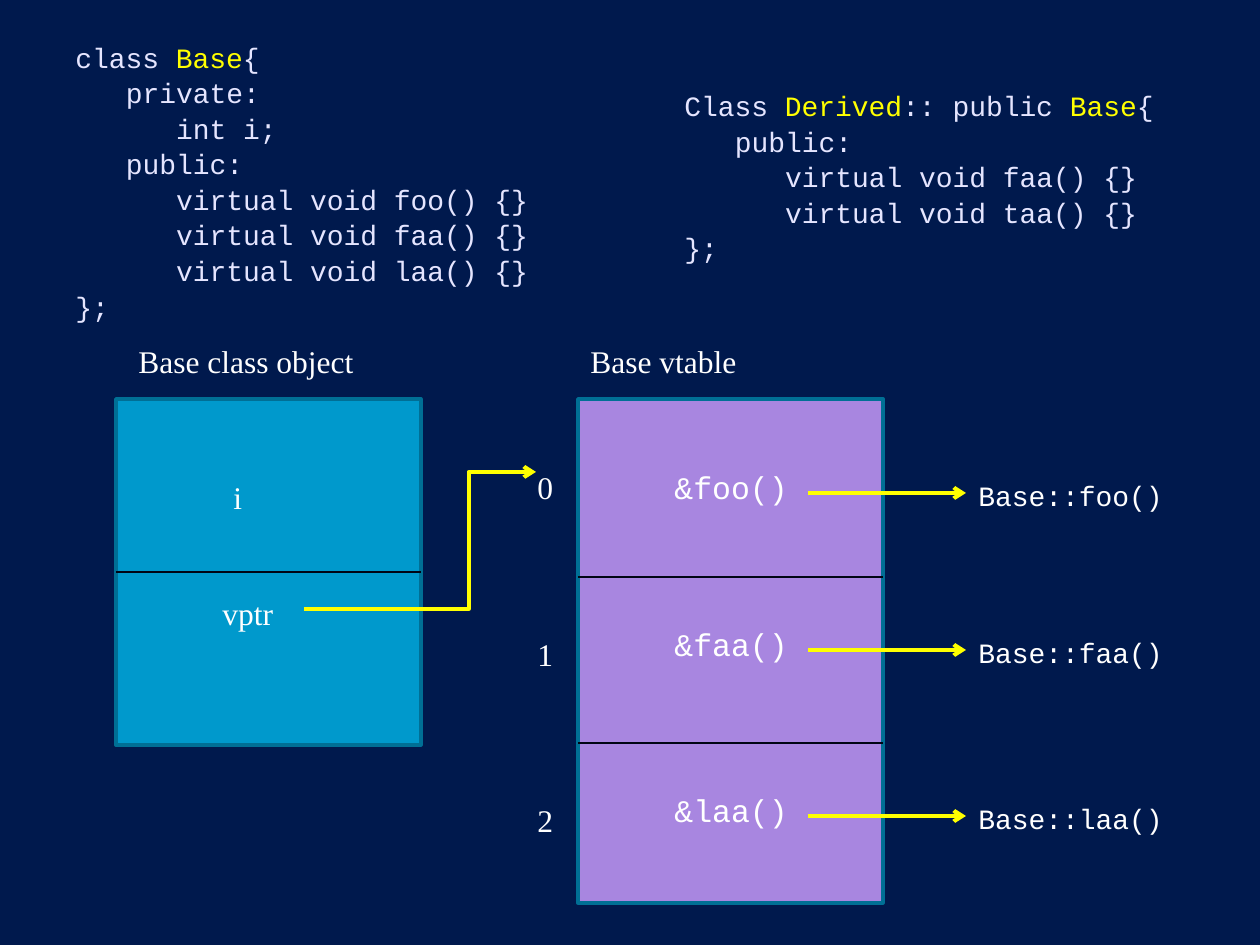
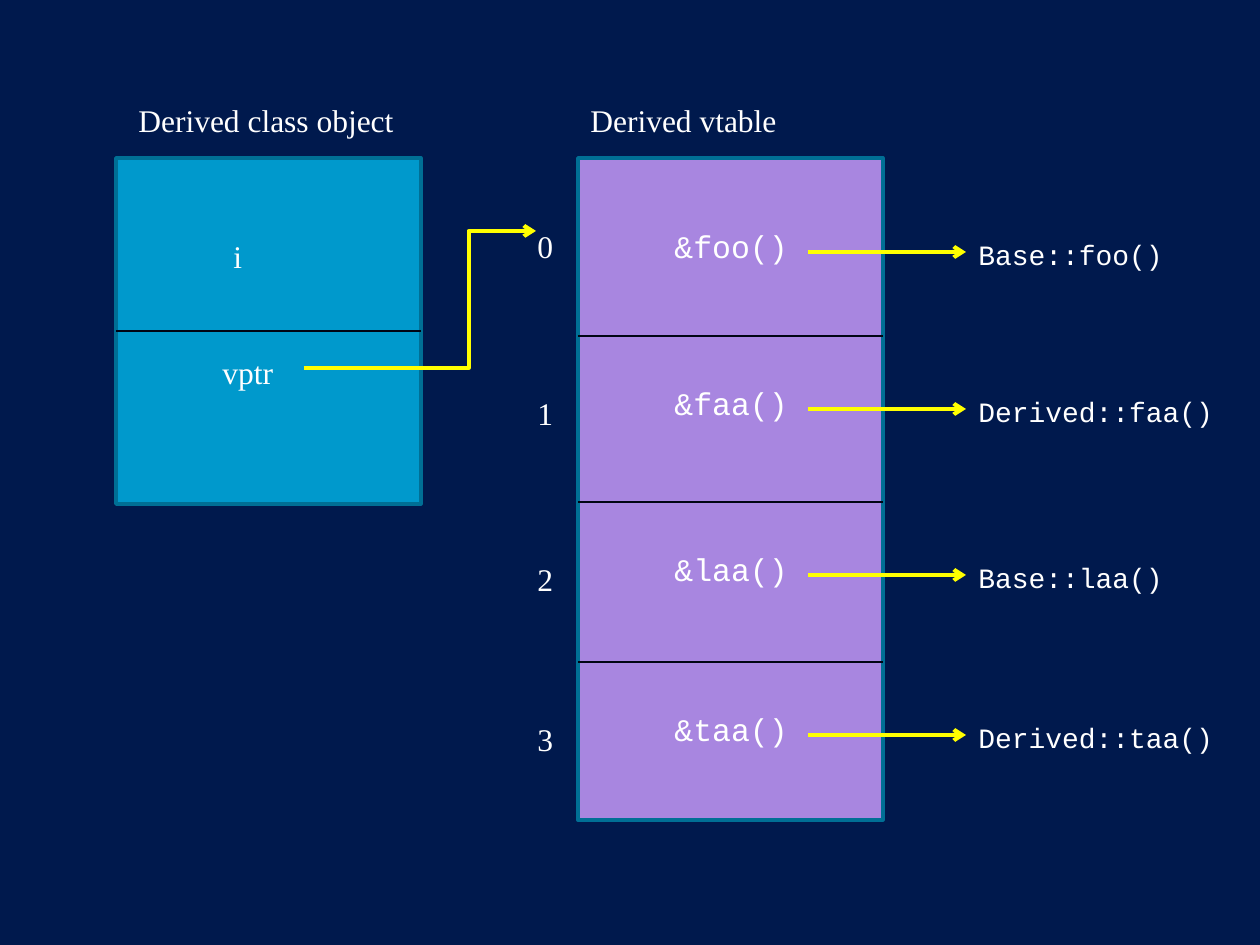
from lxml.etree import SubElement
from pptx import Presentation
from pptx.dml.color import RGBColor
from pptx.enum.shapes import MSO_CONNECTOR as Connector, MSO_SHAPE as Preset
from pptx.enum.text import MSO_ANCHOR as Anchor, MSO_AUTO_SIZE as AutoSize
from pptx.oxml.ns import qn
from pptx.util import Emu, Pt

SCALE = 914400 / 126
NAVY, BLUE, PURPLE, TEAL = "00194D", "0099CC", "A886E0", "006F95"
WHITE, LAVENDER, YELLOW, BLACK = "FFFFFF", "E5E5FF", "FFFF00", "000514"
SERIF, MONO = "Times New Roman", "Courier New"
COLUMN_WIDTH = 305
OBJECT_LEFT, OBJECT_HEIGHT = 116, 346
VTABLE_LEFT = 578
ROW_TOPS = [21, 178, 344, 504]
CODE_INDENT = Pt(28.8)

BASE_CODE = [
    (0, [("class ", LAVENDER), ("Base", YELLOW), ("{", LAVENDER)]),
    (1, [("private:", LAVENDER)]),
    (2, [("int i;", LAVENDER)]),
    (1, [("public:", LAVENDER)]),
    (2, [("virtual void foo() {}", LAVENDER)]),
    (2, [("virtual void faa() {}", LAVENDER)]),
    (2, [("virtual void laa() {}", LAVENDER)]),
    (0, [("};", LAVENDER)]),
]
DERIVED_CODE = [
    (0, [("Class ", LAVENDER), ("Derived", YELLOW), (":: public ", LAVENDER),
         ("Base", YELLOW), ("{", LAVENDER)]),
    (1, [("public:", LAVENDER)]),
    (2, [("virtual void faa() {}", LAVENDER)]),
    (2, [("virtual void taa() {}", LAVENDER)]),
    (0, [("};", LAVENDER)]),
]


def px(*lengths):
    """Turn pixel lengths into EMU."""
    return [Emu(round(length * SCALE)) for length in lengths]


def color(hex_string):
    """Turn a hex string into a colour."""
    return RGBColor.from_string(hex_string)


def add_run(paragraph, text, font_name, size, hex_string):
    """Add one styled run."""
    run = paragraph.add_run()
    run.text = text
    run.font.name = font_name
    run.font.size = Pt(size)
    run.font.color.rgb = color(hex_string)


def add_label(slide, left, top, width, text, font_name=SERIF, size=18):
    """Add a white one-line label that grows with its text."""
    height = 50 if size == 18 else 47
    frame = slide.shapes.add_textbox(*px(left, top, width, height)).text_frame
    frame.word_wrap = True
    frame.auto_size = AutoSize.SHAPE_TO_FIT_TEXT
    add_run(frame.paragraphs[0], text, font_name, size, WHITE)


def add_code(slide, left, top, width, height, lines):
    """Add a code listing of (level, runs) lines, centred vertically."""
    frame = slide.shapes.add_textbox(*px(left, top, width, height)).text_frame
    frame.word_wrap = True
    frame.vertical_anchor = Anchor.MIDDLE
    for number, (level, runs) in enumerate(lines):
        paragraph = frame.add_paragraph() if number else frame.paragraphs[0]
        paragraph.line_spacing = 1.06
        properties = paragraph._p.get_or_add_pPr()
        properties.set("marL", str(level * CODE_INDENT))
        properties.set("indent", "0")
        for text, hex_string in runs:
            add_run(paragraph, text, MONO, 16, hex_string)


def add_block(slide, left, top, height, fill):
    """Add a filled, outlined memory block."""
    block = slide.shapes.add_shape(
        Preset.RECTANGLE, *px(left, top, COLUMN_WIDTH, height))
    block.shadow.inherit = False
    block.fill.solid()
    block.fill.fore_color.rgb = color(fill)
    block.line.color.rgb = color(TEAL)
    block.line.width = Pt(2)


def add_line(slide, kind, ends, hex_string, width):
    """Add a connector without a shadow."""
    connector = slide.shapes.add_connector(kind, *px(*ends))
    connector.line.color.rgb = color(hex_string)
    connector.line.width = Pt(width)
    SubElement(connector._element.spPr, qn("a:effectLst"))
    return connector


def add_divider(slide, left, y):
    """Add a thin line across a memory block."""
    add_line(slide, Connector.STRAIGHT, (left, y, left + COLUMN_WIDTH, y),
             BLACK, 0.75)


def add_arrow(slide, ends, bend=0.5):
    """Add a yellow elbow arrow that bends at a share of its width."""
    arrow = add_line(slide, Connector.ELBOW, ends, YELLOW, 2.25)
    SubElement(arrow.line._get_or_add_ln(), qn("a:tailEnd"), type="arrow")
    geometry = arrow._element.spPr.find(qn("a:prstGeom"))
    guides = geometry.find(qn("a:avLst"))
    if guides is None:
        guides = SubElement(geometry, qn("a:avLst"))
    SubElement(guides, qn("a:gd"), name="adj1",
               fmla=f"val {round(bend * 100000)}")


def add_object(slide, left, top, title):
    """Draw the object's memory with its field and its vptr arrow."""
    add_block(slide, left, top, OBJECT_HEIGHT, BLUE)
    add_label(slide, left + 10, top - 63, 294, title)
    add_label(slide, left + 105, top + 73, 63, "i")
    add_label(slide, left + 94, top + 189, 136, "vptr")
    add_divider(slide, left, top + 173)
    add_arrow(slide, (left + 188, top + 210, left + 420, top + 73), 0.71)


def add_vtable(slide, left, top, height, title, calls):
    """Draw the vtable: index, slot, arrow and called function per row."""
    add_block(slide, left, top, height, PURPLE)
    add_label(slide, left, top - 63, 294, title)
    for index, (row_top, call) in enumerate(zip(ROW_TOPS, calls)):
        slot_top = top + row_top + 42
        index_drop = 10 if index else 0
        add_label(slide, left - 53, slot_top + index_drop, 48, str(index))
        slot = "&" + call.split("::")[1]
        add_label(slide, left + 84, slot_top, 158, slot, MONO)
        if index:
            add_divider(slide, left, top + row_top)
        arrow_y = slot_top + 31
        add_arrow(slide, (left + 230, arrow_y, left + 388, arrow_y))
        add_label(slide, left + 388, slot_top + 10, 294, call, MONO, 16)


def add_class_slide(presentation, name, top, vtable_height, calls):
    """Add a slide with a class object and its vtable."""
    slide = presentation.slides.add_slide(presentation.slide_layouts[6])
    slide.background.fill.solid()
    slide.background.fill.fore_color.rgb = color(NAVY)
    add_object(slide, OBJECT_LEFT, top, f"{name} class object")
    add_vtable(slide, VTABLE_LEFT, top, vtable_height, f"{name} vtable", calls)
    return slide


presentation = Presentation()
presentation.slide_width, presentation.slide_height = px(1260, 945)

base_slide = add_class_slide(
    presentation, "Base", 399, 504,
    ["Base::foo()", "Base::faa()", "Base::laa()"])
add_code(base_slide, 63, 42, 536, 277, BASE_CODE)
add_code(base_slide, 672, 42, 536, 267, DERIVED_CODE)

add_class_slide(
    presentation, "Derived", 158, 662,
    ["Base::foo()", "Derived::faa()", "Base::laa()", "Derived::taa()"])

presentation.save("out.pptx")
